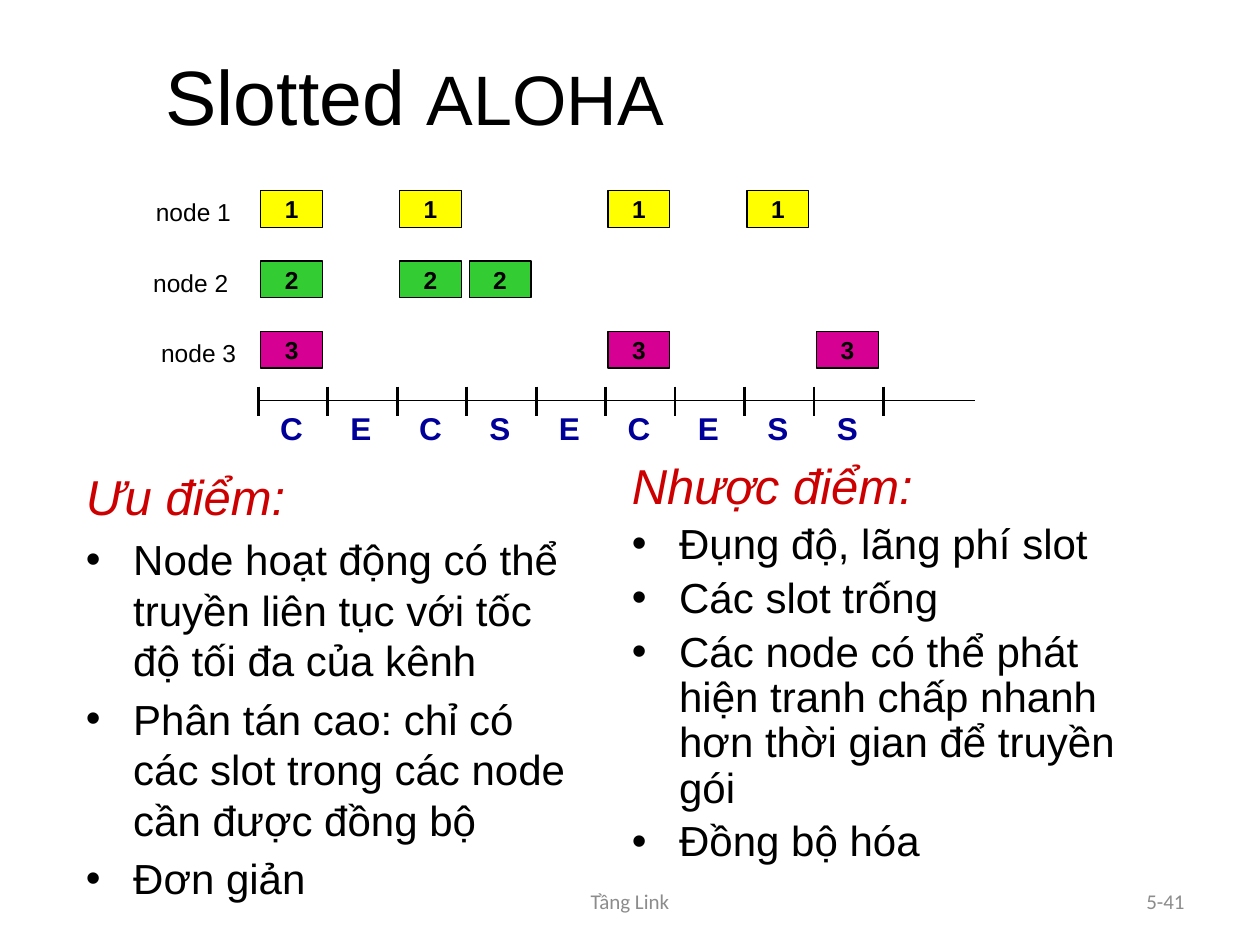
from lxml.etree import SubElement
from pptx import Presentation
from pptx.dml.color import RGBColor
from pptx.enum.shapes import MSO_CONNECTOR as Conn, MSO_SHAPE as Shape
from pptx.enum.text import MSO_ANCHOR as Anchor, PP_ALIGN as Align
from pptx.oxml.ns import qn
from pptx.util import Pt

# Content
TITLE = [("Slotted ", 44), ("ALOHA", 40)]
NODES = [  # label, label left, packet, colour, slots used
    ("node 1", 82, "1", "FFFF00", [0, 2, 5, 7]),
    ("node 2", 80.5, "2", "33CC33", [0, 2, 3]),
    ("node 3", 85, "3", "D60093", [0, 5, 8]),
]
STATES = "CECSECESS"
LISTS = [  # left, top, line spacing, heading, points
    (42, 263, 1.0, "Ưu điểm:", [
        "Node hoạt động có thể truyền liên tục với tốc độ tối đa của kênh",
        "Phân tán cao: chỉ có các slot trong các node cần được đồng bộ",
        "Đơn giản"]),
    (354, 260.5, 0.9, "Nhược điểm:", [
        "Đụng độ, lãng phí slot",
        "Các slot trống",
        "Các node có thể phát hiện tranh chấp nhanh hơn thời gian để truyền gói",
        "Đồng bộ hóa"]),
]
FOOTS = [("Tầng Link", 246, 228, Align.CENTER), ("5-41", 516, 168, Align.RIGHT)]

# Timeline grid
AXIS_X, AXIS_Y, AXIS_END = 147.6, 229, 557.3
STEP, ROW_Y, ROW_STEP = 39.7, 109, 40.2
BOX_W, BOX_H = 35.3, 20.9

deck = Presentation()
deck.slide_width, deck.slide_height = Pt(720), Pt(540)
slide = deck.slides.add_slide(deck.slide_layouts[5])
shapes = slide.shapes


def color(code):
    return RGBColor.from_string(code)


def write(par, text, size=14, ink="000000", font="Arial", bold=False,
          ital=False, align=Align.LEFT):
    par.alignment = align
    run = par.add_run()
    run.text = text
    face = run.font
    face.size, face.name, face.bold, face.italic = Pt(size), font, bold, ital
    face.color.rgb = color(ink)


def frame(x, y, w, h, wrap=True, anchor=Anchor.TOP):
    body = shapes.add_textbox(Pt(x), Pt(y), Pt(w), Pt(h)).text_frame
    body.word_wrap, body.vertical_anchor = wrap, anchor
    return body


def rule(x1, y1, x2, y2, width):
    line = shapes.add_connector(Conn.STRAIGHT, Pt(x1), Pt(y1), Pt(x2), Pt(y2))
    line.line.color.rgb, line.line.width = color("000000"), Pt(width)
    SubElement(line._element.spPr, qn("a:effectLst"))


def indent(par, bullet):
    props = par._p.get_or_add_pPr()
    props.set("marL", str(Pt(27)))
    props.set("indent", str(Pt(-27)))
    if bullet:
        SubElement(props, qn("a:buFont"), typeface="Arial")
        SubElement(props, qn("a:buChar"), char="•")
    else:
        SubElement(props, qn("a:buNone"))


# Title
head = shapes.title
head.left, head.top, head.width, head.height = Pt(42), Pt(9), Pt(390), Pt(90)
head.text_frame.vertical_anchor = Anchor.MIDDLE
for text, size in TITLE:
    write(head.text_frame.paragraphs[0], text, size, align=Align.CENTER)

# Footer
for text, x, w, align in FOOTS:
    foot = frame(x, 500.5, w, 28.75, anchor=Anchor.MIDDLE)
    write(foot.paragraphs[0], text, 12, "8C8C8C", "Calibri", align=align)

# Lists of pros and cons
for x, y, space, lead, points in LISTS:
    body = frame(x, y, 300, 252)
    for i, text in enumerate([lead] + points):
        par = body.add_paragraph() if i else body.paragraphs[0]
        par.line_spacing = space
        if i:
            par.space_before = Pt(4.8)
        indent(par, i > 0)
        if i:
            write(par, text, 24)
        else:
            write(par, text, 28, "CC0000", ital=True)

# Packets sent by each node
for row, (label, left, mark, fill, slots) in enumerate(NODES):
    y = ROW_Y + row * ROW_STEP
    write(frame(left, y + 0.3, 57.6, 24.2, wrap=False).paragraphs[0], label)
    for slot in slots:
        box = shapes.add_shape(Shape.RECTANGLE, Pt(AXIS_X + slot * STEP + 1.4),
                               Pt(y), Pt(BOX_W), Pt(BOX_H))
        box.shadow.inherit = False
        box.fill.solid()
        box.fill.fore_color.rgb = color(fill)
        box.line.color.rgb, box.line.width = color("000000"), Pt(0.75)
        body = box.text_frame
        body.margin_top = body.margin_bottom = 0
        body.vertical_anchor = Anchor.MIDDLE
        write(body.paragraphs[0], mark, bold=True, align=Align.CENTER)

# Time axis, slot ticks and slot states
rule(AXIS_X, AXIS_Y, AXIS_END, AXIS_Y, 0.75)
for i in range(len(STATES) + 1):
    x = AXIS_X + i * STEP
    rule(x, AXIS_Y - 8, x, AXIS_Y + 9, 1.5)
for i, text in enumerate(STATES):
    cell = frame(AXIS_X + i * STEP + 5.4, AXIS_Y + 1.2, 27.2, 28.8, wrap=False)
    write(cell.paragraphs[0], text, 18, "000099", bold=True, align=Align.CENTER)

deck.save("out.pptx")
